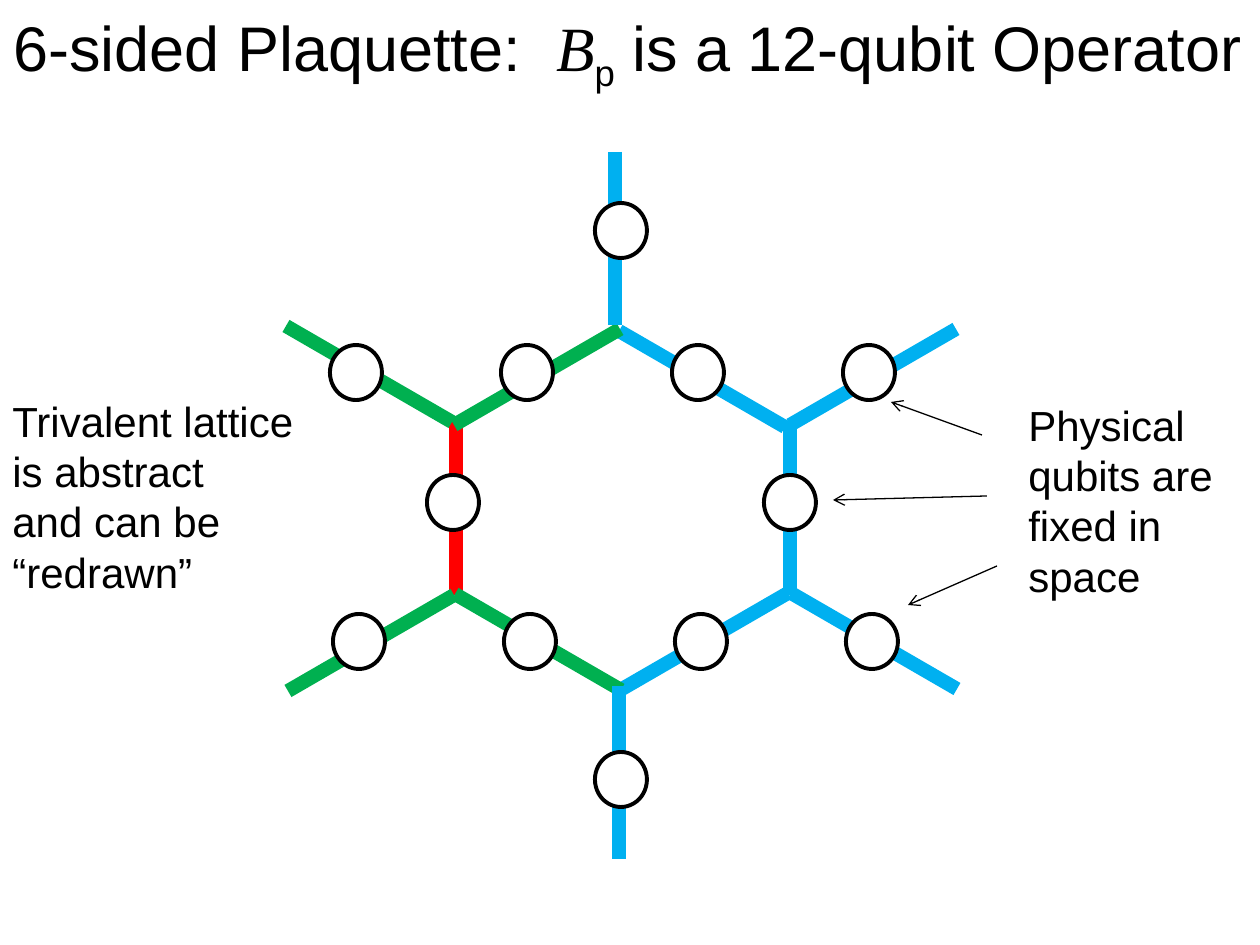
"""Draw a six-sided plaquette with its twelve qubits and notes."""
import pptx
import pptx.dml.color
import pptx.enum.shapes
import pptx.enum.text
import pptx.oxml
import pptx.oxml.ns
import pptx.util

BLACK, WHITE = "000000", "FFFFFF"
BLUE, GREEN, RED = "00B0F0", "00B050", "FF0000"
DROP, FALL, RISE = (0, 173), (166, 96), (166, -96)
EDGES = [
    (790, 422, DROP, BLUE),
    (790, 425, RISE, BLUE),
    (619, 331, FALL, BLUE),
    (791, 593, FALL, BLUE),
    (622, 689, RISE, BLUE),
    (456, 422, DROP, RED),
    (454, 425, RISE, GREEN),
    (286, 326, FALL, GREEN),
    (455, 594, FALL, GREEN),
    (288, 691, RISE, GREEN),
    (615, 152, DROP, BLUE),
    (619, 686, DROP, BLUE),
]
ARROWS = [
    (982, 435, 891, 402),
    (987, 496, 833, 500),
    (997, 566, 908, 605),
]


def px(count):
    return pptx.util.Emu(round(count * 914400 / 126))


def color(code):
    return pptx.dml.color.RGBColor.from_string(code)


def add_text(slide, left, top, width, height):
    box = slide.shapes.add_textbox(px(left), px(top), px(width), px(height))
    frame = box.text_frame
    frame.word_wrap = False
    frame.auto_size = pptx.enum.text.MSO_AUTO_SIZE.SHAPE_TO_FIT_TEXT
    return frame


def set_font(font, size, face="Arial"):
    font.size = pptx.util.Pt(size)
    font.name = face
    font.color.rgb = color(BLACK)


def add_title(slide):
    para = add_text(slide, 1, 2, 1284, 89).paragraphs[0]
    set_font(para.font, 36)
    for text in ("6-sided Plaquette:  ", "B", "p", " is a 12-qubit Operator"):
        run = para.add_run()
        run.text = text
        set_font(run.font, 36)
        if text == "B":
            run.font.name = "Times New Roman"
            run.font.italic = True
        elif text == "p":
            run.font._element.set("baseline", "-25000")


def add_note(slide, left, top, width, lines):
    frame = add_text(slide, left, top, width, 217)
    frame.text = "\n".join(lines)
    for para in frame.paragraphs:
        set_font(para.font, 24)


def add_line(shapes, start, end, code, weight, arrow=False):
    kind = pptx.enum.shapes.MSO_CONNECTOR.STRAIGHT
    line = shapes.add_connector(kind, *map(px, start + end))
    line.line.color.rgb = color(code)
    line.line.width = pptx.util.Pt(weight)
    props = line._element.spPr
    if arrow:
        tip = pptx.oxml.parse_xml(
            f'<a:tailEnd {pptx.oxml.ns.nsdecls("a")} type="arrow"/>')
        line.line._get_or_add_ln().append(tip)
    props.append(pptx.oxml.parse_xml(
        f'<a:effectLst {pptx.oxml.ns.nsdecls("a")}/>'))


def add_qubit(shapes, left, top):
    oval = pptx.enum.shapes.MSO_SHAPE.OVAL
    qubit = shapes.add_shape(oval, px(left), px(top), px(52), px(55))
    qubit.shadow.inherit = False
    qubit.fill.solid()
    qubit.fill.fore_color.rgb = color(WHITE)
    qubit.line.color.rgb = color(BLACK)
    qubit.line.width = pptx.util.Pt(2.25)


def add_edges(slide):
    shapes = slide.shapes.add_group_shape().shapes
    for x, y, (dx, dy), code in EDGES:
        add_line(shapes, (x, y), (x + dx, y + dy), code, 8)


def add_qubits(slide):
    shapes = slide.shapes.add_group_shape().shapes
    for left, top in ((595, 203), (764, 475), (427, 475), (595, 752)):
        add_qubit(shapes, left, top)
    for left, top in ((330, 345), (333, 614)):
        for col in range(4):
            add_qubit(shapes, left + 171 * col, top)


def main():
    deck = pptx.Presentation()
    deck.slide_width, deck.slide_height = px(1260), px(945)
    slide = deck.slides.add_slide(deck.slide_layouts[6])
    add_title(slide)
    add_note(slide, 1016, 393, 212,
             ["Physical", "qubits are", "fixed in", "space"])
    for x, y, to_x, to_y in ARROWS:
        add_line(slide.shapes, (x, y), (to_x, to_y), BLACK, 0.75, arrow=True)
    add_note(slide, 0, 389, 309,
             ["Trivalent lattice", "is abstract", "and can be", "“redrawn”"])
    add_edges(slide)
    add_qubits(slide)
    deck.save("out.pptx")


if __name__ == "__main__":
    main()
